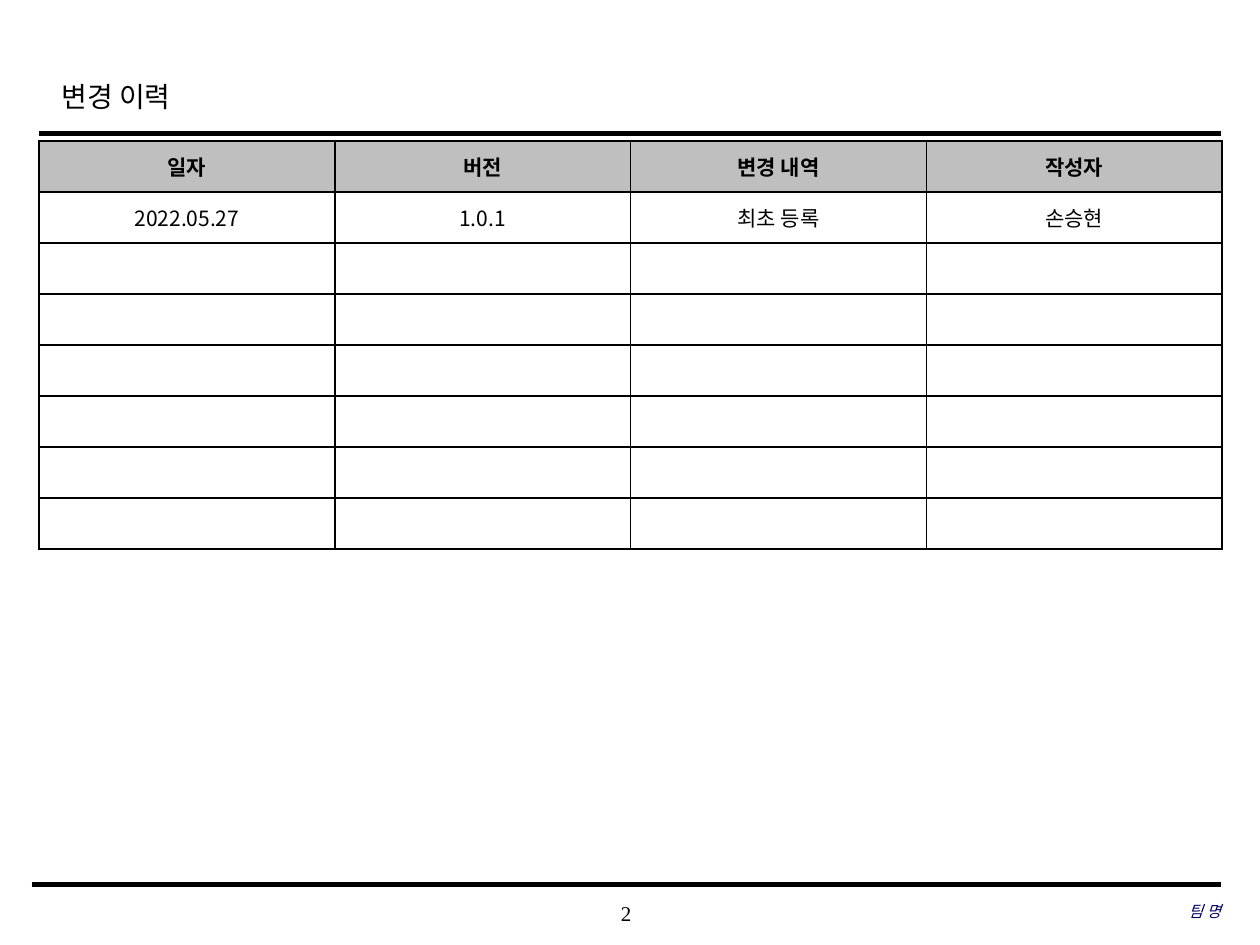
from pptx import Presentation
from pptx.dml.color import RGBColor as Rgb
from pptx.enum.shapes import MSO_CONNECTOR as Conn
from pptx.enum.text import MSO_ANCHOR as Anchor, PP_ALIGN as Align
from pptx.oxml.ns import qn
from pptx.util import Inches, Pt
from lxml.etree import SubElement as Sub

HEX = {"ink": "000000", "navy": "000066", "head": "BFBFBF", "paper": "FFFFFF"}
SANS, SERIF = "Noto Sans CJK KR", "Times New Roman"
ROWS = [
    ["일자", "버전", "변경 내역", "작성자"],
    ["2022.05.27", "1.0.1", "최초 등록", "손승현"],
] + [[""] * 4 for _ in range(6)]


def color(name):
    """Return the named colour."""
    return Rgb.from_string(HEX[name])


def write(para, text, tint="ink", align=Align.LEFT, **look):
    """Put one styled run into a paragraph."""
    para.alignment = align
    run = para.add_run()
    run.text = text
    run.font.color.rgb = color(tint)
    for key, val in look.items():
        setattr(run.font, key, val)
    Sub(run.font._element, qn("a:ea")).set("typeface", SANS)


def label(slide, box, text, pad=(0, 0), **look):
    """Add a text box with one line of text."""
    frame = slide.shapes.add_textbox(*map(Inches, box)).text_frame
    form = {
        "word_wrap": True,
        "vertical_anchor": Anchor.MIDDLE,
        "margin_left": Inches(pad[0]),
        "margin_right": Inches(pad[0]),
        "margin_top": Inches(pad[1]),
        "margin_bottom": Inches(pad[1]),
    }
    for key, val in form.items():
        setattr(frame, key, val)
    write(frame.paragraphs[0], text, **look)
    return frame


def rule(slide, left, right, top, width):
    """Draw a level line."""
    ends = map(Inches, (left, top, right, top))
    line = slide.shapes.add_connector(Conn.STRAIGHT, *ends)
    line.line.color.rgb = color("ink")
    line.line.width = Pt(width)
    Sub(line._element.spPr, qn("a:effectLst"))


def edge(cell):
    """Give a cell a thin border on all sides."""
    props = cell._tc.get_or_add_tcPr()
    for spot, side in enumerate(("lnL", "lnR", "lnT", "lnB")):
        line = props.makeelement(qn("a:" + side), {"w": str(Pt(1))})
        fill = Sub(line, qn("a:solidFill"))
        Sub(fill, qn("a:srgbClr")).set("val", HEX["ink"])
        props.insert(spot, line)


def header(slide, box):
    """Place the title and the line below it."""
    left, top, width, height = box
    title = (left + 0.08, top, 7.55, height - 0.07)
    frame = label(slide, title, "변경 이력", pad=(0.1, 0.05), name=SERIF, size=Pt(16))
    frame.paragraphs[0].line_spacing = 1.2
    rule(slide, left, left + width, top + height, 2.5)


def history(slide, box):
    """Place the table of changes."""
    shape = slide.shapes.add_table(len(ROWS), len(ROWS[0]), *map(Inches, box))
    table = shape.table
    for r, row in enumerate(ROWS):
        for c, text in enumerate(row):
            cell = table.cell(r, c)
            cell.vertical_anchor = Anchor.MIDDLE
            cell.fill.solid()
            cell.fill.fore_color.rgb = color("paper" if r else "head")
            edge(cell)
            if text:
                para = cell.text_frame.paragraphs[0]
                write(para, text, align=Align.CENTER, name=SANS, size=Pt(12), bold=r == 0)


def footer(slide, box):
    """Place the bottom line, page number and team name."""
    left, top, width, height = box
    right = left + width
    rule(slide, left, right, top, 3)
    page = (left + 3.68, top + 0.06, 2.08, height)
    label(slide, page, "2", align=Align.CENTER, name=SERIF, size=Pt(12))
    team = (right - 3.06, top + 0.05, 3.06, height)
    label(slide, team, "팀 명", tint="navy", align=Align.RIGHT,
          name=SERIF, size=Pt(9), italic=True)


def main():
    """Build and save the slide."""
    deck = Presentation()
    deck.slide_width, deck.slide_height = Inches(10), Inches(7.5)
    slide = deck.slides.add_slide(deck.slide_layouts[6])
    header(slide, (0.31, 0.49, 9.38, 0.57))
    footer(slide, (0.25, 7.02, 9.44, 0.33))
    history(slide, (0.31, 1.12, 9.39, 3.24))
    deck.save("out.pptx")


if __name__ == "__main__":
    main()
